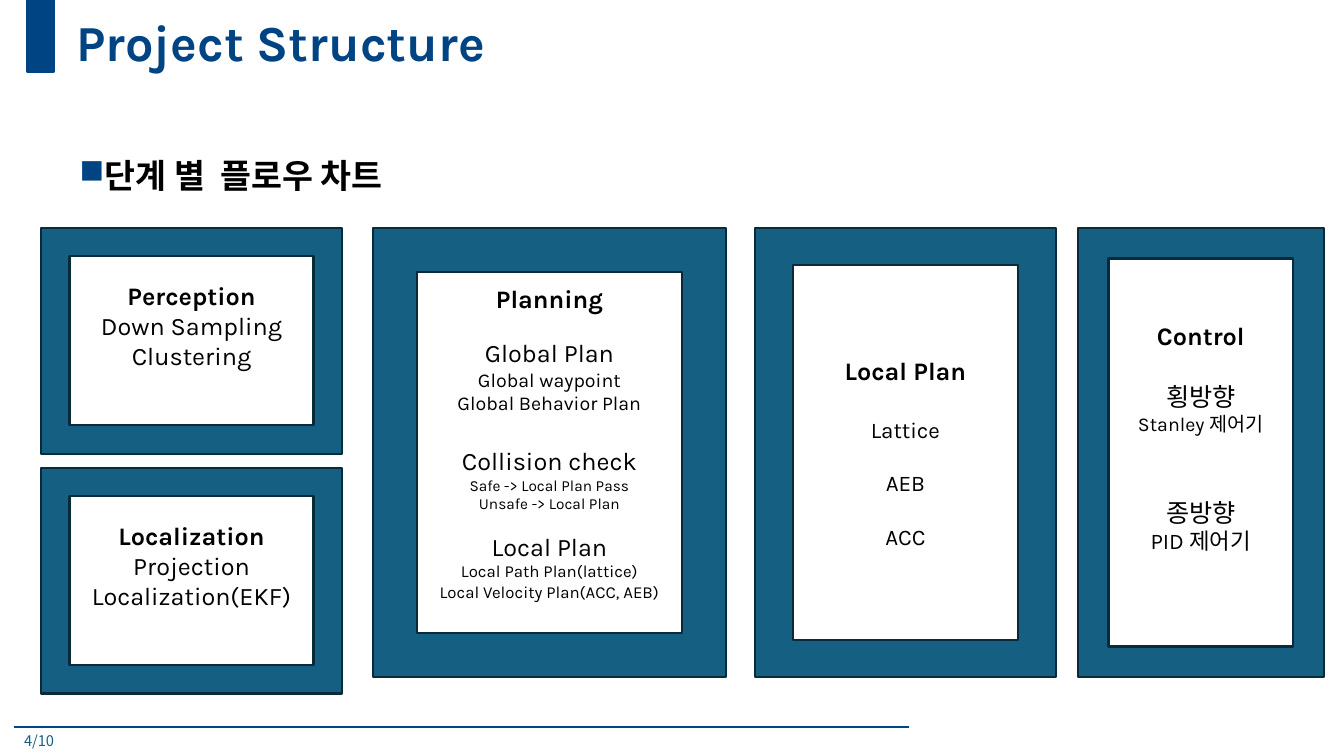
from dataclasses import dataclass

import pptx
import pptx.dml.color
import pptx.enum.shapes
import pptx.enum.text
import pptx.oxml.ns
import pptx.util
from lxml import etree

PX = 9144  # one px is a hundredth of an inch
LINE_HEIGHT = 1.21
COLORS = {
    "navy": "004483",
    "rule": "004585",
    "teal": "156082",
    "edge": "092A39",
    "black": "000000",
}
ANCHOR = pptx.enum.text.MSO_ANCHOR
ALIGN = pptx.enum.text.PP_ALIGN
SHAPE = pptx.enum.shapes.MSO_SHAPE
qn = pptx.oxml.ns.qn


@dataclass(frozen=True)
class Line:
    text: str
    size: int = 18
    bold: bool = False
    gap: int = 0  # font size of the line's worth of space above


@dataclass(frozen=True)
class Stage:
    left: int
    top: int
    width: int
    height: int
    lines: tuple[Line, ...]
    gap_below: int = 0


TOP = 226
TALL = 446
SHORT = 224
STAGES = (
    Stage(41, TOP, 298, SHORT, (
        Line("Perception", bold=True),
        Line("Down Sampling"),
        Line("Clustering"),
    ), gap_below=18),
    Stage(41, 464, 298, SHORT, (
        Line("Localization", bold=True),
        Line("Projection"),
        Line("Localization(EKF)"),
    ), gap_below=18),
    Stage(370, TOP, 350, TALL, (
        Line("Planning", bold=True),
        Line("Global Plan", gap=14),
        Line("Global waypoint", 14),
        Line("Global Behavior Plan", 14),
        Line("Collision check", gap=18),
        Line("Safe -> Local Plan Pass", 11),
        Line("Unsafe -> Local Plan", 11),
        Line("Local Plan", gap=11),
        Line("Local Path Plan(lattice)", 12),
        Line("Local Velocity Plan(ACC, AEB)", 12),
    ), gap_below=12),
    Stage(749, TOP, 298, TALL, (
        Line("Local Plan", bold=True),
        Line("Lattice", 16, gap=18),
        Line("AEB", 16, gap=16),
        Line("ACC", 16, gap=16),
    )),
    Stage(1069, TOP, 244, TALL, (
        Line("Control", bold=True),
        Line("횡방향", gap=18),
        Line("Stanley 제어기", 14),
        Line("종방향", gap=36),
        Line("PID 제어기", 16),
    ), gap_below=18),
)


def px(length: int) -> pptx.util.Emu:
    return pptx.util.Emu(length * PX)


def rgb(name: str) -> pptx.dml.color.RGBColor:
    return pptx.dml.color.RGBColor.from_string(COLORS[name])


def write(para, text: str, *, size: float, font: str = "Karla",
          color: str = "black", bold: bool = False) -> None:
    span = para.add_run()
    span.text = text
    span.font.size = pptx.util.Pt(size)
    span.font.name = font
    span.font.bold = bold
    span.font.color.rgb = rgb(color)
    east_asian = etree.Element(qn("a:ea"), typeface="Noto Sans CJK KR")
    span.font._element.find(qn("a:latin")).addnext(east_asian)


def add_text(page, left: int, top: int, width: int, height: int, text: str,
             *, anchor=ANCHOR.TOP, **style):
    """Add a one-paragraph text box and return its paragraph."""
    box = page.shapes.add_textbox(px(left), px(top), px(width), px(height))
    box.text_frame.word_wrap = True
    box.text_frame.vertical_anchor = anchor
    para = box.text_frame.paragraphs[0]
    write(para, text, **style)
    return para


def add_block(page, kind, left: int, top: int, width: int, height: int,
              fill: str, edge: str):
    block = page.shapes.add_shape(kind, px(left), px(top), px(width), px(height))
    block.shadow.inherit = False
    block.fill.solid()
    block.fill.fore_color.rgb = rgb(fill)
    block.line.color.rgb = rgb(edge)
    block.line.width = pptx.util.Pt(1.5)
    return block


def add_square_bullet(para, color: str) -> None:
    properties = para._p.get_or_add_pPr()
    properties.set("marL", str(px(25)))
    properties.set("indent", str(px(-25)))
    bullet_color = etree.SubElement(properties, qn("a:buClr"))
    etree.SubElement(bullet_color, qn("a:srgbClr"), val=COLORS[color])
    etree.SubElement(properties, qn("a:buChar"), char="■")


def add_stage(page, stage: Stage) -> None:
    block = add_block(page, SHAPE.FRAME, stage.left, stage.top, stage.width,
                      stage.height, "teal", "edge")
    frame = block.text_frame
    frame.word_wrap = True
    frame.vertical_anchor = ANCHOR.MIDDLE
    frame.margin_bottom = px(5) + pptx.util.Pt(stage.gap_below * LINE_HEIGHT)
    for index, line in enumerate(stage.lines):
        para = frame.add_paragraph() if index else frame.paragraphs[0]
        para.alignment = ALIGN.CENTER
        para.space_before = pptx.util.Pt(round(line.gap * LINE_HEIGHT))
        write(para, line.text, size=line.size, bold=line.bold)


def add_footer(page) -> None:
    rule = page.shapes.add_connector(
        pptx.enum.shapes.MSO_CONNECTOR.STRAIGHT, px(14), px(721), px(902), px(721))
    rule.line.color.rgb = rgb("rule")
    rule.line.width = pptx.util.Pt(1.5)
    etree.SubElement(rule._element.spPr, qn("a:effectLst"))
    add_text(page, 14, 721, 571, 29, "4/10", size=10.5,
             font="Noto Sans CJK KR", color="teal")


def main() -> None:
    deck = pptx.Presentation()
    deck.slide_width, deck.slide_height = px(1333), px(750)
    page = deck.slides.add_slide(deck.slide_layouts[6])
    add_footer(page)
    add_block(page, SHAPE.RECTANGLE, 27, 0, 27, 71, "navy", "navy")
    title = add_text(page, 66, 0, 1196, 89, "Project Structure", size=36,
                     color="navy", bold=True, anchor=ANCHOR.MIDDLE)
    title.line_spacing = 0.9
    heading = add_text(page, 69, 129, 1123, 80, "단계 별  플로우 차트", size=24,
                       font="Arial", bold=True)
    heading.line_spacing = 1.5
    heading.space_before = pptx.util.Pt(10)
    add_square_bullet(heading, "navy")
    for stage in STAGES:
        add_stage(page, stage)
    deck.save("out.pptx")


if __name__ == "__main__":
    main()
